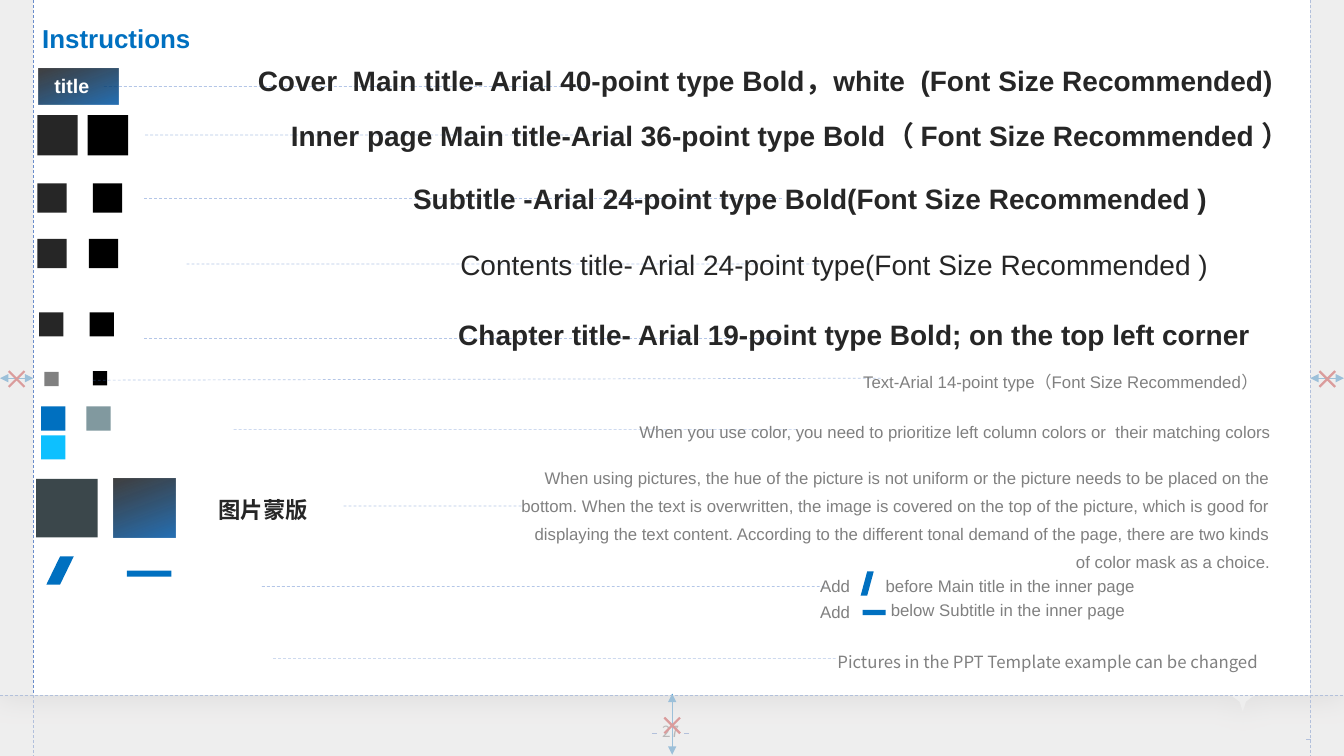
from dataclasses import dataclass

from lxml.etree import SubElement
from pptx import Presentation
from pptx.dml.color import RGBColor
from pptx.enum.dml import MSO_LINE
from pptx.enum.shapes import MSO_CONNECTOR, MSO_SHAPE
from pptx.enum.text import MSO_ANCHOR, MSO_AUTO_SIZE, PP_ALIGN
from pptx.oxml.ns import qn
from pptx.util import Cm, Pt


@dataclass(frozen=True)
class Theme:
    """Colours, fonts and type sizes of the slide."""
    white: str = "FFFFFF"
    black: str = "000000"
    ink: str = "262626"
    grey: str = "808080"
    number: str = "5A5A5A"
    blue: str = "0070C0"
    sky: str = "0DC0FF"
    sage: str = "81999F"
    mask: str = "263338"
    deep: str = "0055A2"
    rule: str = "4472C4"
    cross: str = "C00000"
    margin: str = "E7E6E6"
    latin: str = "Arial"
    cjk: str = "Noto Sans CJK SC"
    page_title: float = 18.5
    heading: float = 20
    label: float = 16
    chip: float = 14
    body: float = 12
    folio: float = 11
    leading: float = 20
    hairline: float = 0.5


THEME = Theme()
WIDTH, HEIGHT = 33.87, 19.05
LEFT_EDGE, RIGHT_EDGE, BOTTOM_EDGE = 0.84, 33.02, 17.52

PANEL = [(0, 0), (WIDTH, 0), (WIDTH, BOTTOM_EDGE), (31.7, BOTTOM_EDGE), (31.57, 17.55),
         (31.4, 17.68), (31.32, 17.93), (31.24, 17.68), (31.06, 17.55),
         (30.94, BOTTOM_EDGE), (0, BOTTOM_EDGE)]
MARGIN = [(0, 0), (LEFT_EDGE, 0), (LEFT_EDGE, BOTTOM_EDGE), (RIGHT_EDGE, BOTTOM_EDGE),
          (RIGHT_EDGE, 0), (WIDTH, 0), (WIDTH, HEIGHT), (0, HEIGHT)]

DARK_PAIRS = [(0.94, 2.21, 2.9, 1.02), (0.94, 2.34, 4.62, 0.74),
              (0.94, 2.24, 6.02, 0.74), (0.99, 2.26, 7.87, 0.61)]
SWATCHES = [(1.12, 9.37, 0.36, THEME.grey), (2.34, 9.35, 0.36, THEME.black),
            (1.04, 10.24, 0.61, THEME.blue), (1.04, 10.97, 0.61, THEME.sky),
            (2.18, 10.24, 0.61, THEME.sage)]
SLANTS = [(1.17, 14.02, 0.69, 0.71), (21.69, 14.4, 0.33, 0.61)]
BARS = [(3.2, 14.38, 1.12, 0.15), (21.74, 15.37, 0.58, 0.13)]
GRADIENT_MASKS = [(2.87, 12.07, 1.55, 1.47), (0.97, 1.73, 2.01, 0.89)]
LEADERS = [(2.62, 2.18, 14.76, 2.18), (3.66, 3.4, 15.77, 3.4), (3.63, 5, 19.74, 5),
           (4.7, 6.65, 20.8, 6.65), (3.63, 8.53, 19.74, 8.53), (2.34, 9.58, 22.2, 9.53),
           (5.89, 10.82, 20.07, 10.82), (8.66, 12.75, 13.21, 12.75),
           (6.6, 14.78, 20.8, 14.78), (6.88, 16.59, 21.06, 16.59)]

HEADINGS = [
    (0, 1.47, 32.33, "Cover  Main title- Arial 40-point type Bold，white  (Font Size Recommended)", True),
    (4.06, 2.87, 28.7, "Inner page Main title-Arial 36-point type Bold（ Font Size Recommended ）", True),
    (10.01, 4.45, 20.68, "Subtitle -Arial 24-point type Bold(Font Size Recommended )", True),
    (11.2, 6.1, 19.51, "Contents title- Arial 24-point type(Font Size Recommended )", False),
    (11, 7.87, 20.96, "Chapter title- Arial 19-point type Bold; on the top left corner ", True),
]
RULES = [
    (14.5, 9.04, 17.55, 0.97, THEME.latin, "Text-Arial 14-point type（Font Size Recommended） "),
    (15.42, 10.31, 16.87, 0.97, THEME.latin,
     "When you use color, you need to prioritize left column colors or  their matching colors"),
    (12.8, 11.46, 19.46, 3.1, THEME.latin,
     "When using pictures, the hue of the picture is not uniform or the picture needs to be "
     "placed on the bottom. When the text is overwritten, the image is covered on the top of "
     "the picture, which is good for displaying the text content. According to the different "
     "tonal demand of the page, there are two kinds of color mask as a choice."),
    (18.42, 16.1, 13.54, 0.97, THEME.cjk, "Pictures in the PPT Template example can be changed"),
]
MARK_NOTES = [(20.42, 14.38, 1.42, "Add"), (22.07, 14.38, 10.85, "before Main title in the inner page"),
              (20.42, 15.04, 1.42, "Add"), (22.2, 14.99, 10.85, "below Subtitle in the inner page")]


def set_alpha(element, percent):
    """Make the first colour inside an element partly transparent."""
    colour = next(element.iter(qn("a:srgbClr")))
    SubElement(colour, qn("a:alpha"), val=str(percent * 1000))


def paint(shape, colour, alpha=None):
    """Give a shape a plain fill without outline or shadow."""
    shape.shadow.inherit = False
    shape.line.fill.background()
    shape.fill.solid()
    shape.fill.fore_color.rgb = RGBColor.from_string(colour)
    if alpha:
        set_alpha(shape._element.spPr, alpha)


def add_block(slide, x, y, w, h, colour, kind=MSO_SHAPE.RECTANGLE, alpha=None):
    """Add a filled preset shape."""
    block = slide.shapes.add_shape(kind, Cm(x), Cm(y), Cm(w), Cm(h))
    paint(block, colour, alpha)
    return block


def add_gradient_mask(slide, x, y, w, h):
    """Add a rectangle that fades from blue to black."""
    mask = add_block(slide, x, y, w, h, THEME.deep)
    mask.fill.gradient()
    mask.fill.gradient_angle = 110
    stops = [(0.05, THEME.deep, 85), (1, THEME.black, 75)]
    for stop, (position, colour, _) in zip(mask.fill.gradient_stops, stops):
        stop.position = position
        stop.color.rgb = RGBColor.from_string(colour)
    for element, (_, _, alpha) in zip(mask._element.spPr.iter(qn("a:gs")), stops):
        set_alpha(element, alpha)


def add_outline(slide, corners, colour, alpha=None):
    """Add a closed filled outline through the corners."""
    points = [(Cm(x), Cm(y)) for x, y in corners]
    builder = slide.shapes.build_freeform(*points[0], scale=1.0)
    builder.add_line_segments(points[1:], close=True)
    outline = builder.convert_to_shape()
    paint(outline, colour, alpha)
    return outline


def add_page_panel(slide):
    """Add the white page with its soft shadow below."""
    panel = add_outline(slide, PANEL, THEME.white)
    effects = panel._element.spPr.find(qn("a:effectLst"))
    shadow = SubElement(effects, qn("a:outerShdw"), blurRad=str(Pt(20)), dist=str(Pt(3)),
                        dir="5400000", algn="t", rotWithShape="0")
    SubElement(shadow, qn("a:srgbClr"), val=THEME.black)
    set_alpha(shadow, 20)


def add_rule(slide, x1, y1, x2, y2, colour=THEME.rule, dashed=True, alpha=None, arrows=False):
    """Add a hairline, dashed or with arrowheads at both ends."""
    rule = slide.shapes.add_connector(MSO_CONNECTOR.STRAIGHT, Cm(x1), Cm(y1), Cm(x2), Cm(y2))
    rule.line.width = Pt(THEME.hairline)
    rule.line.color.rgb = RGBColor.from_string(colour)
    properties = rule._element.spPr
    if dashed:
        rule.line.dash_style = MSO_LINE.DASH
    if alpha:
        set_alpha(properties, alpha)
    if arrows:
        for end in ("a:headEnd", "a:tailEnd"):
            SubElement(properties.find(qn("a:ln")), qn(end), type="triangle")
    SubElement(properties, qn("a:effectLst"))


def style(paragraph, size, colour, font, bold):
    """Set the type of a whole paragraph."""
    paragraph.font.size = Pt(size)
    paragraph.font.bold = bold
    paragraph.font.color.rgb = RGBColor.from_string(colour)
    paragraph.font.name = font
    SubElement(paragraph._p.pPr.find(qn("a:defRPr")), qn("a:ea"), typeface=THEME.cjk)


def add_text(slide, x, y, w, h, text, size=THEME.body, colour=THEME.grey, font=THEME.latin,
             bold=False, align=PP_ALIGN.LEFT, leading=None):
    """Add a wrapped one-paragraph text box."""
    frame = slide.shapes.add_textbox(Cm(x), Cm(y), Cm(w), Cm(h)).text_frame
    frame.word_wrap = True
    paragraph = frame.paragraphs[0]
    paragraph.text = text
    paragraph.alignment = align
    if leading:
        paragraph.line_spacing = Pt(leading)
    style(paragraph, size, colour, font, bold)


def set_title(slide, text):
    """Place and format the title in front of the page panel."""
    title = slide.shapes.title
    title.left, title.top, title.width, title.height = Cm(0.81), Cm(0.58), Cm(12.01), Cm(0.91)
    frame = title.text_frame
    frame.text = text
    frame.auto_size = MSO_AUTO_SIZE.NONE
    frame.vertical_anchor = MSO_ANCHOR.MIDDLE
    paragraph = frame.paragraphs[0]
    paragraph.alignment = PP_ALIGN.LEFT
    paragraph.line_spacing = 0.8
    style(paragraph, THEME.page_title, THEME.blue, THEME.latin, True)
    title._element.getparent().append(title._element)


def add_margins(slide):
    """Draw the page number, margin arrows, crosses and the veil over them."""
    for x, y in [(17.25, 18.47), (16.43, 18.47), (32.92, 18.62)]:
        add_rule(slide, x, y, x + 0.12, y, dashed=False)
    add_text(slide, 16.05, 18.06, 1.7, 0.74, "27", THEME.folio, THEME.number, THEME.cjk,
             align=PP_ALIGN.CENTER)
    for edge in (LEFT_EDGE, RIGHT_EDGE):
        add_rule(slide, edge, 0, edge, HEIGHT)
    add_rule(slide, 0, BOTTOM_EDGE, WIDTH, BOTTOM_EDGE)
    for arrow in [(0, 9.53, LEFT_EDGE, 9.53), (RIGHT_EDGE, 9.53, WIDTH, 9.53),
                  (16.94, 17.48, 16.94, 19.02)]:
        add_rule(slide, *arrow, THEME.blue, dashed=False, arrows=True)
    for x, y in [(0.14, 9.27), (33.17, 9.27), (16.66, 18)]:
        cross = add_block(slide, x, y, 0.56, 0.56, THEME.cross, MSO_SHAPE.CROSS)
        cross.adjustments[0] = 0.45
        cross.rotation = 315
    add_outline(slide, MARGIN, THEME.margin, 68)


def add_samples(slide):
    """Draw the colour samples, masks and title marks."""
    for left, right, y, side in DARK_PAIRS:
        add_block(slide, left, y, side, side, THEME.ink)
        add_block(slide, right, y, side, side, THEME.black)
    for x, y, side, colour in SWATCHES:
        add_block(slide, x, y, side, side, colour)
    for slant in SLANTS:
        add_block(slide, *slant, THEME.blue, MSO_SHAPE.PARALLELOGRAM).adjustments[0] = 0.5
    for bar in BARS:
        add_block(slide, *bar, THEME.blue)
    add_block(slide, 0.91, 12.07, 1.55, 1.47, THEME.mask, alpha=90)


def add_instructions(slide):
    """Write the instructions beside the samples."""
    for x, y, w, text, bold in HEADINGS:
        add_text(slide, x, y, w, 1.12, text, THEME.heading, THEME.ink, bold=bold,
                 align=PP_ALIGN.RIGHT)
    for x, y, w, h, font, text in RULES:
        add_text(slide, x, y, w, h, text, font=font, align=PP_ALIGN.RIGHT, leading=THEME.leading)
    for x, y, w, text in MARK_NOTES:
        add_text(slide, x, y, w, 0.76, text)
    add_text(slide, 5.26, 12.37, 2.79, 0.94, "图片蒙版", THEME.label, THEME.ink, THEME.cjk, True)


def main():
    """Build the slide and save it."""
    deck = Presentation()
    deck.slide_width, deck.slide_height = Cm(WIDTH), Cm(HEIGHT)
    slide = deck.slides.add_slide(deck.slide_layouts[5])
    add_page_panel(slide)
    set_title(slide, "Instructions")
    add_margins(slide)
    add_samples(slide)
    for leader in LEADERS:
        add_rule(slide, *leader, alpha=40)
    add_instructions(slide)
    for mask in GRADIENT_MASKS:
        add_gradient_mask(slide, *mask)
    add_text(slide, 1.12, 1.73, 4.78, 0.86, "title", THEME.chip, THEME.white, bold=True)
    deck.save("out.pptx")


if __name__ == "__main__":
    main()
